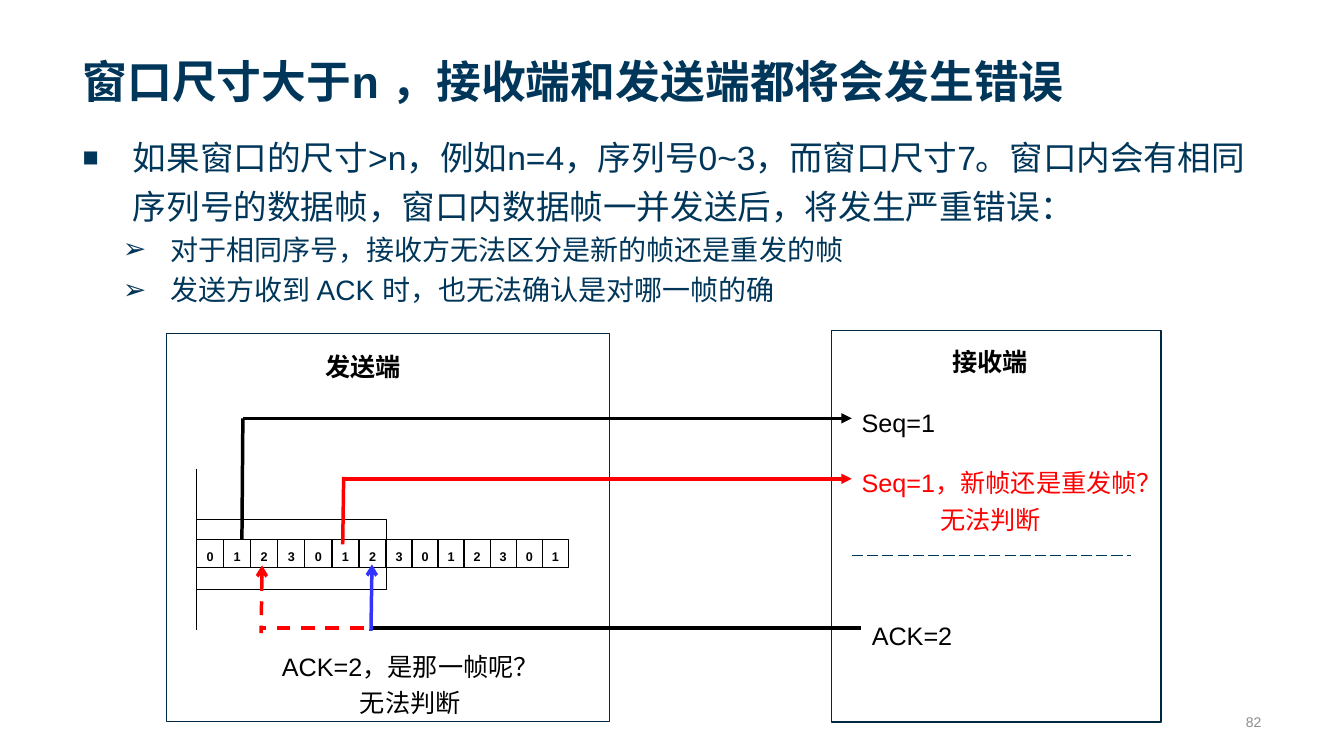
from lxml import etree
from pptx import Presentation
from pptx.dml.color import RGBColor
from pptx.enum.dml import MSO_LINE
from pptx.enum.shapes import MSO_CONNECTOR, MSO_SHAPE
from pptx.enum.text import MSO_ANCHOR, MSO_AUTO_SIZE, PP_ALIGN
from pptx.oxml.ns import qn
from pptx.util import Pt

STRAIGHT, RECT = MSO_CONNECTOR.STRAIGHT, MSO_SHAPE.RECTANGLE
DASH, LONG_DASH = MSO_LINE.DASH, MSO_LINE.LONG_DASH
LEFT, CENTER, RIGHT = PP_ALIGN.LEFT, PP_ALIGN.CENTER, PP_ALIGN.RIGHT
COLORS = {key: RGBColor.from_string(value) for key, value in {
    "navy": "003659", "frame": "002842", "black": "000000", "white": "FFFFFF",
    "red": "FF0000", "blue": "3333FF", "gray": "8C8C8C"}.items()}

prs = Presentation()
prs.slide_width, prs.slide_height = Pt(960), Pt(540)
slide = prs.slides.add_slide(prs.slide_layouts[1])
shapes = slide.shapes


def add_label(lines, box, size, color="black", bold=False, align=LEFT, inset=True):
    label = shapes.add_textbox(*map(Pt, box))
    frame = label.text_frame
    frame.text = lines
    frame.word_wrap = False
    frame.auto_size = MSO_AUTO_SIZE.SHAPE_TO_FIT_TEXT
    if not inset:
        frame.margin_left = frame.margin_right = frame.margin_top = frame.margin_bottom = 0
    for paragraph in frame.paragraphs:
        paragraph.alignment = align
        paragraph.line_spacing = 1.2
        font = paragraph.runs[0].font
        font.name, font.size, font.bold = "Arial", Pt(size), bold
        font.color.rgb = COLORS[color]
    return frame


def add_line(x1, y1, x2, y2, color="black", width=2.5, dash=None, arrow=None):
    connector = shapes.add_connector(STRAIGHT, Pt(x1), Pt(y1), Pt(x2), Pt(y2))
    connector.line.color.rgb = COLORS[color]
    connector.line.width = Pt(width)
    if dash:
        connector.line.dash_style = dash
    if arrow:
        end, kind = arrow
        etree.SubElement(connector.line._get_or_add_ln(), qn(f"a:{end}"), type=kind)
    etree.SubElement(connector._element.spPr, qn("a:effectLst"))


# Title
title = shapes.title
title.left, title.top, title.width, title.height = Pt(51.8), Pt(10), Pt(855.4), Pt(70.6)
title.text_frame.text = "窗口尺寸大于n ，接收端和发送端都将会发生错误"
title.text_frame.vertical_anchor = MSO_ANCHOR.BOTTOM
title.text_frame.auto_size = MSO_AUTO_SIZE.NONE
heading = title.text_frame.paragraphs[0]
heading.alignment = LEFT
heading_font = heading.runs[0].font
heading_font.name, heading_font.size, heading_font.bold = "Arial", Pt(32), True
heading_font.color.rgb = COLORS["navy"]

# Explanation list: text, level, size, bullet, bullet scale, text indent, hanging indent
points = [
    ("如果窗口的尺寸>n，例如n=4，序列号0~3，而窗口尺寸7。窗口内会有相同序列号的数据帧，"
     "窗口内数据帧一并发送后，将发生严重错误：", 0, 24, "■", "80000", 36, 36),
    ("对于相同序号，接收方无法区分是新的帧还是重发的帧", 1, 20, "➢", "100000", 62.5, 33.7),
    ("发送方收到 ACK 时，也无法确认是对哪一帧的确", 1, 20, "➢", "100000", 62.5, 33.7),
]
body = slide.placeholders[1]
body.left, body.top, body.width, body.height = Pt(51.8), Pt(88.6), Pt(855.4), Pt(394.6)
body.text_frame.text = "\n".join(point[0] for point in points)
body.text_frame.auto_size = MSO_AUTO_SIZE.NONE
for paragraph, point in zip(body.text_frame.paragraphs, points):
    _, level, size, bullet, scale, indent, hanging = point
    paragraph.level = level
    paragraph.line_spacing = 1.2
    paragraph.space_before = Pt(0)
    properties = paragraph._p.get_or_add_pPr()
    properties.set("marL", str(Pt(indent)))
    properties.set("indent", str(-Pt(hanging)))
    etree.SubElement(properties, qn("a:buSzPct"), val=scale)
    etree.SubElement(properties, qn("a:buFont"), typeface="Arial")
    etree.SubElement(properties, qn("a:buChar"), char=bullet)
    font = paragraph.runs[0].font
    font.name, font.size = "Arial", Pt(size)
    font.color.rgb = COLORS["navy"]

# Page number
page_number = add_label("82", (844.6, 504.7, 63.4, 21.6), 10, "gray", align=RIGHT)
page_number.word_wrap = True
page_number.auto_size = MSO_AUTO_SIZE.NONE
page_number.vertical_anchor = MSO_ANCHOR.MIDDLE
page_number.paragraphs[0].line_spacing = 1.0

# Window, sequence cells and the two end frames
row_left, window_right, row_right = 140.4, 275.8, 406
row_top, row_bottom = 385.2, 405.4
window_pitch = (window_right - row_left) / 7
later_pitch = (row_right - window_right) / 7
cells = [(row_left + i * window_pitch, window_pitch) for i in range(7)]
cells += [(window_right + i * later_pitch, later_pitch) for i in range(7)]

outlines = [((row_left, 370.8, window_right - row_left, 50.4), "black", 0.63, True)]
outlines += [((left, row_top, pitch, row_bottom - row_top), "black", 1, False)
             for left, pitch in cells[1::2]]
outlines += [((594, 236.2, 235.4, 279.4), "frame", 1, False),
             ((118.8, 238.3, 316.8, 277.2), "frame", 1, False)]
for box, color, width, filled in outlines:
    outline = shapes.add_shape(RECT, *map(Pt, box))
    outline.shadow.inherit = False
    outline.line.color.rgb = COLORS[color]
    outline.line.width = Pt(width)
    if filled:
        outline.fill.solid()
        outline.fill.fore_color.rgb = COLORS["white"]
    else:
        outline.fill.background()

for y in (row_top, row_bottom):
    add_line(row_left, y, row_right, y, width=1)
add_line(row_left, 334.8, row_left, 450, width=0.63)
for number, (left, pitch) in enumerate(cells):
    add_label(str(number % 4), (left + pitch / 2 - 2.5, 390.2, 5, 11.5), 9,
              bold=True, align=CENTER, inset=False)

# Frames sent to the receiver
add_line(173.5, 298.8, 608.4, 298.8, arrow=("tailEnd", "triangle"))
add_line(173.5, 298.8, 172.8, 385.2)
add_line(245.5, 342, 608.4, 342, "red", arrow=("tailEnd", "triangle"))
add_line(245.5, 340.6, 244.8, 388.8, "red")

# Acknowledgement coming back
add_line(614.9, 448.6, 265.7, 448.6)
add_line(265.7, 403.2, 265, 450.7, "blue", arrow=("headEnd", "arrow"))
add_line(187.2, 403.9, 186.5, 452.2, "red", dash=DASH, arrow=("headEnd", "arrow"))
add_line(259.9, 448.6, 186.5, 448.6, "red", dash=DASH)
add_line(608.4, 396.7, 807.8, 396.7, "navy", 1, LONG_DASH)

# Sender and receiver texts
add_label("发送端", (225.4, 243.4, 69.1, 31), 18, bold=True)
add_label("接收端", (673.2, 239.8, 69.1, 31), 18, bold=True)
add_label("Seq=1", (608.4, 283, 67.7, 31), 18)
new_or_resent = add_label("Seq=1，新帧还是重发帧？\n无法判断", (608.4, 326.2, 231.1, 57.6), 18, "red")
new_or_resent.paragraphs[1]._p.get_or_add_pPr().set("marL", str(Pt(56)))
add_label("ACK=2", (615.6, 435.6, 72.7, 31), 18)
add_label("ACK=2，是那一帧呢？\n无法判断", (193, 457.2, 200.2, 57.6), 18, align=CENTER)

prs.save("out.pptx")
